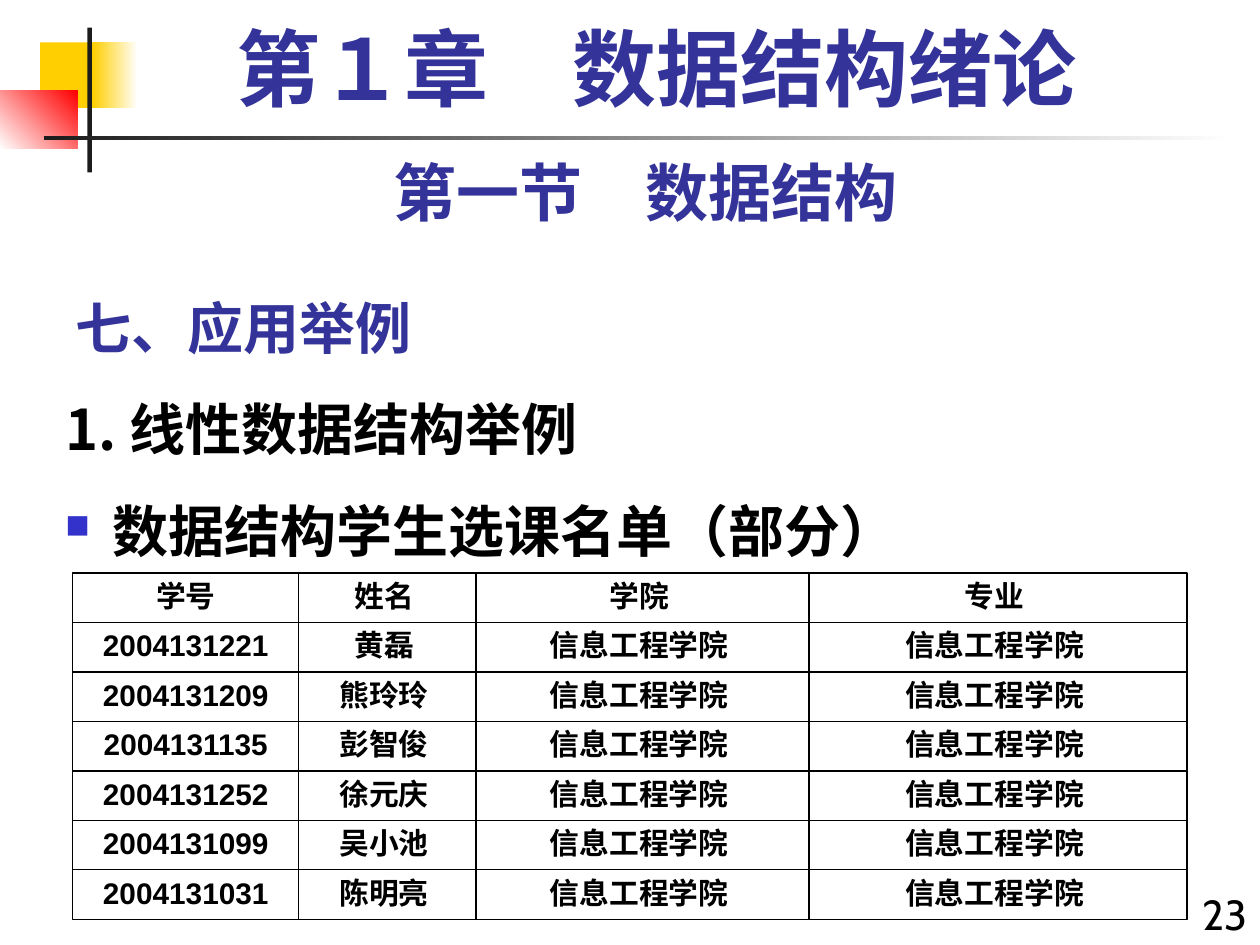
from dataclasses import dataclass
from itertools import accumulate
from typing import Optional

from lxml import etree
from pptx import Presentation
from pptx.dml.color import RGBColor
from pptx.enum.shapes import MSO_SHAPE
from pptx.enum.text import MSO_ANCHOR, PP_ALIGN
from pptx.oxml.ns import qn
from pptx.util import Pt

RECTANGLE = MSO_SHAPE.RECTANGLE
LEFT, CENTER, RIGHT = PP_ALIGN.LEFT, PP_ALIGN.CENTER, PP_ALIGN.RIGHT
TOP, MIDDLE, BOTTOM = MSO_ANCHOR.TOP, MSO_ANCHOR.MIDDLE, MSO_ANCHOR.BOTTOM

COLORS = {
    "yellow": "FFCF01", "red": "FF0000", "white": "FFFFFF", "dark": "1C1C1C",
    "heading": "333399", "bullet": "3333CC", "black": "000000",
}
CJK_FONT = "Noto Sans CJK SC"


@dataclass(frozen=True)
class Bar:
    left: float
    top: float
    width: float
    height: float
    color: str
    fade_to: Optional[str] = None
    angle: float = 0


@dataclass(frozen=True)
class Style:
    size: float
    font: str = CJK_FONT
    color: str = "heading"
    bold: bool = True
    align: PP_ALIGN = LEFT
    line_spacing: float = 1.0


@dataclass(frozen=True)
class Label:
    text: str
    left: float
    top: float
    width: float
    height: float
    style: Style
    anchor: MSO_ANCHOR = TOP


BARS = [
    Bar(23, 24.2, 34.5, 37.5, "yellow"),
    Bar(53, 24.2, 25.8, 37.5, "yellow", "white"),
    Bar(0, 51.8, 44.3, 33.2, "white", "red", 45),
    Bar(50, 15.8, 2.5, 82.8, "dark"),
    Bar(25.2, 77.8, 680.4, 2.5, "dark", "white"),
]
HEADINGS = [
    Label("七、应用举例", 36, 155.5, 486, 54, Style(32), BOTTOM),
    Label("23", 671.8, 504, 48.2, 42.5,
          Style(24, "Cabin", "black", bold=False, align=RIGHT)),
    Label("第一节　数据结构", 36, 84, 666, 50.4,
          Style(36, "Cabin", align=CENTER)),
    Label("第１章　数据结构绪论", 48.2, 12.2, 653.8, 59.8,
          Style(48, "Times New Roman", align=CENTER, line_spacing=0.9)),
]
BODY_STYLE = Style(32, color="black")
CELL_STYLE = Style(17, "Arial", "black", align=CENTER, line_spacing=0.9)

COLLEGE = "信息工程学院 "
ROSTER_LEFT, ROSTER_TOP = 41.6, 327.5
COLUMN_WIDTHS = [129.2, 101.3, 190.2, 216]
ROW_HEIGHT = 28.25
STUDENTS = [
    ("2004131221", "黄磊 "), ("2004131209", "熊玲玲 "),
    ("2004131135", "彭智俊 "), ("2004131252", "徐元庆 "),
    ("2004131099", "吴小池 "), ("2004131031", "陈明亮 "),
]
ROSTER = [("学号", "姓名 ", "学院 ", "专业 ")]
ROSTER += [(number, name, COLLEGE, COLLEGE) for number, name in STUDENTS]


def rgb(color: str) -> RGBColor:
    return RGBColor.from_string(COLORS[color])


def style_paragraph(paragraph, style: Style) -> None:
    paragraph.alignment = style.align
    paragraph.line_spacing = style.line_spacing
    font = paragraph.font
    font.size, font.bold, font.name = Pt(style.size), style.bold, style.font
    font.color.rgb = rgb(style.color)
    defaults = paragraph._p.pPr.find(qn("a:defRPr"))
    east_asian = etree.Element(qn("a:ea"), typeface=CJK_FONT)
    defaults.find(qn("a:latin")).addnext(east_asian)


def add_rectangle(shapes, left: float, top: float, width: float, height: float):
    rectangle = shapes.add_shape(
        RECTANGLE, Pt(left), Pt(top), Pt(width), Pt(height))
    rectangle.shadow.inherit = False
    return rectangle


def add_bar(slide, bar: Bar) -> None:
    shape = add_rectangle(slide.shapes, bar.left, bar.top, bar.width, bar.height)
    shape.line.fill.background()
    if bar.fade_to is None:
        shape.fill.solid()
        shape.fill.fore_color.rgb = rgb(bar.color)
        return
    shape.fill.gradient()
    shape.fill.gradient_angle = bar.angle
    for stop, color in zip(shape.fill.gradient_stops, (bar.color, bar.fade_to)):
        stop.color.rgb = rgb(color)


def add_frame(slide, left: float, top: float, width: float, height: float):
    """Add a wrapping text box and return its text frame."""
    frame = slide.shapes.add_textbox(
        Pt(left), Pt(top), Pt(width), Pt(height)).text_frame
    frame.word_wrap = True
    return frame


def add_label(slide, label: Label) -> None:
    frame = add_frame(slide, label.left, label.top, label.width, label.height)
    frame.vertical_anchor = label.anchor
    frame.text = label.text
    style_paragraph(frame.paragraphs[0], label.style)


def add_bullet(paragraph) -> None:
    """Give the paragraph a small square bullet with a hanging indent."""
    properties = paragraph._p.get_or_add_pPr()
    properties.set("marL", str(Pt(27)))
    properties.set("indent", str(-Pt(27)))
    color = etree.SubElement(properties, qn("a:buClr"))
    etree.SubElement(color, qn("a:srgbClr"), val=COLORS["bullet"])
    etree.SubElement(properties, qn("a:buSzPct"), val="60000")
    etree.SubElement(properties, qn("a:buChar"), char="■")


def add_body(slide) -> None:
    frame = add_frame(slide, 30.2, 221.8, 689.8, 126)
    example = frame.paragraphs[0]
    example.text = "1. 线性数据结构举例"
    roster_title = frame.add_paragraph()
    roster_title.text = "数据结构学生选课名单（部分）"
    add_bullet(roster_title)
    roster_title.space_before = Pt(20)
    for paragraph in (example, roster_title):
        style_paragraph(paragraph, BODY_STYLE)


def add_roster(slide) -> None:
    """Draw the roster as one group of outlined cells."""
    cells = slide.shapes.add_group_shape().shapes
    column_lefts = list(accumulate(COLUMN_WIDTHS[:-1], initial=ROSTER_LEFT))
    for row, values in enumerate(ROSTER):
        top = ROSTER_TOP + row * ROW_HEIGHT
        for left, width, value in zip(column_lefts, COLUMN_WIDTHS, values):
            cell = add_rectangle(cells, left, top, width, ROW_HEIGHT)
            cell.fill.background()
            cell.line.color.rgb = rgb("black")
            cell.line.width = Pt(0.75)
            frame = cell.text_frame
            frame.word_wrap = True
            frame.vertical_anchor = MIDDLE
            frame.text = value
            style_paragraph(frame.paragraphs[0], CELL_STYLE)


def main() -> None:
    presentation = Presentation()
    presentation.slide_width, presentation.slide_height = Pt(720), Pt(540)
    slide = presentation.slides.add_slide(presentation.slide_layouts[6])
    for bar in BARS:
        add_bar(slide, bar)
    for heading in HEADINGS:
        add_label(slide, heading)
    add_body(slide)
    add_roster(slide)
    presentation.save("out.pptx")


if __name__ == "__main__":
    main()
